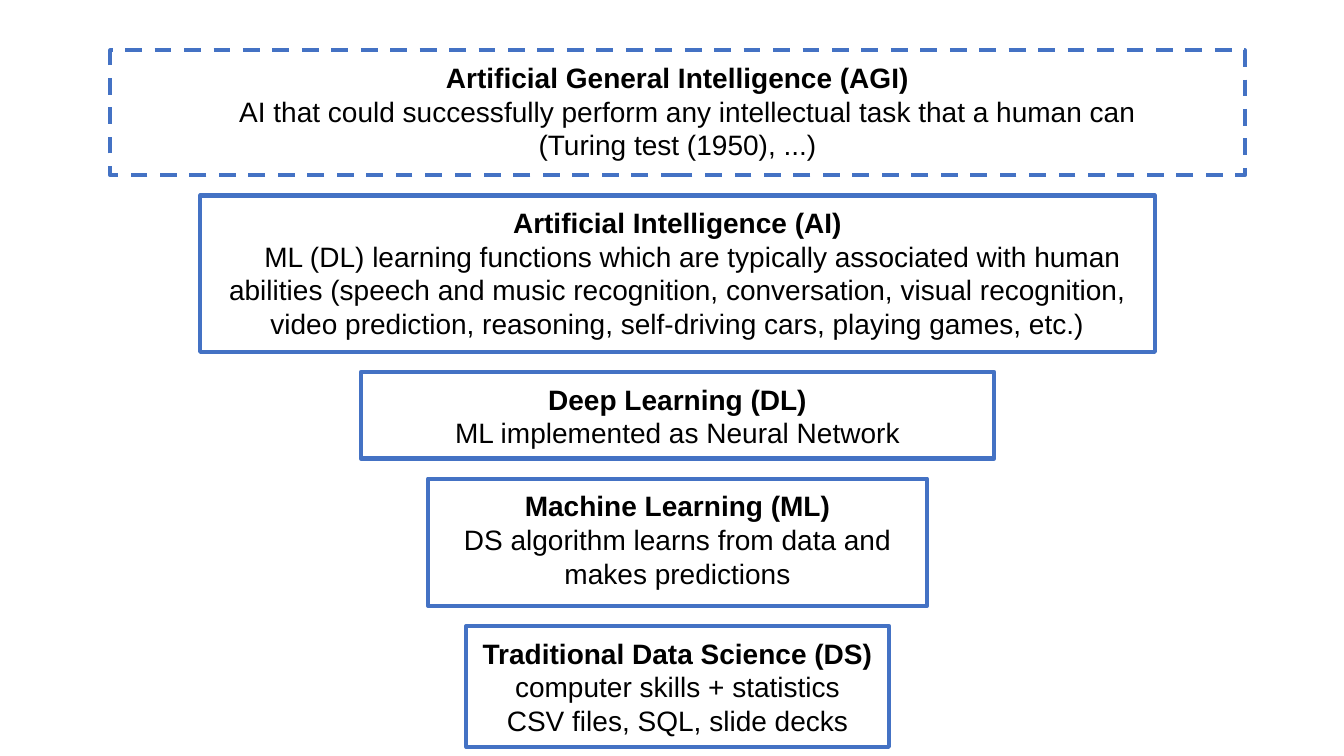
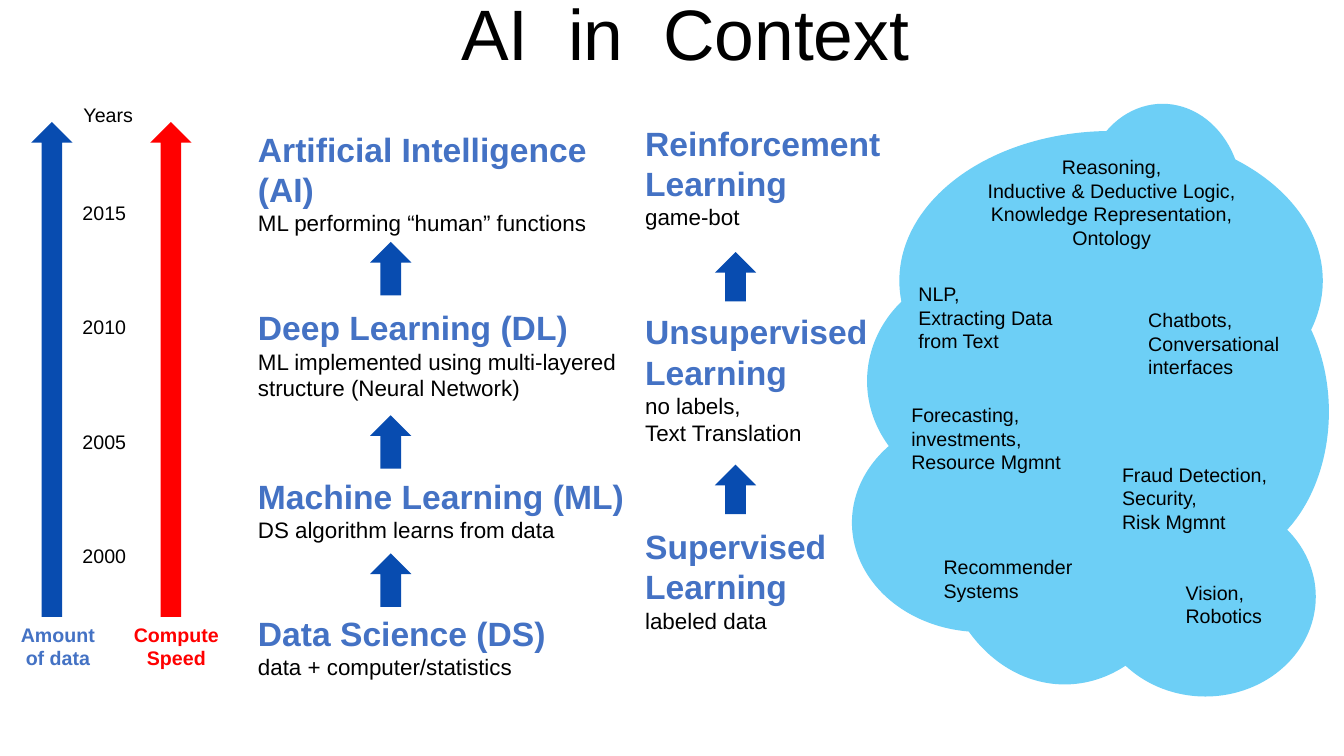
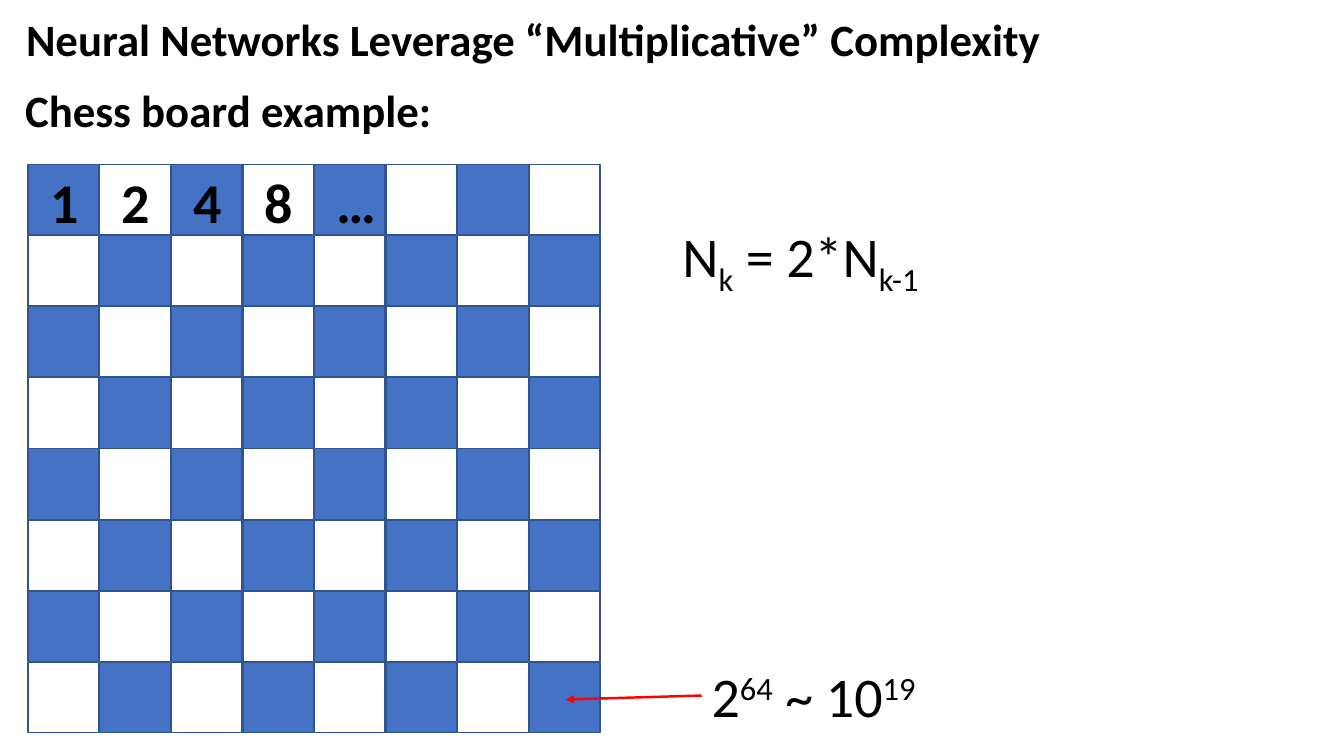
"""Build three slides on artificial intelligence."""
from dataclasses import dataclass

from lxml import etree
from pptx import Presentation
from pptx import util as u
from pptx.dml.color import RGBColor
from pptx.enum import dml, shapes, text
from pptx.oxml import ns


@dataclass(frozen=True)
class Theme:
    """Colours, fonts and type sizes of the deck."""
    ink: str = "000000"
    blue: str = "4472C4"
    edge: str = "31538F"
    deep: str = "084CB0"
    red: str = "FF0000"
    sky: str = "6DCFF6"
    sans: str = "Arial"
    alt: str = "Calibri"
    title: int = 51
    math: int = 40
    head: int = 32
    stage: int = 24
    tier: int = 20
    body: int = 16
    note: int = 14


T = Theme()
KIND = shapes.MSO_SHAPE
MID = text.PP_ALIGN.CENTER
LEFT = text.PP_ALIGN.LEFT


def span(box):
    """Turn a box in inches into lengths."""
    return [u.Inches(v) for v in box]


def write(frame, lines, size=T.note, color=T.ink, font=T.sans, bold=False,
          align=LEFT, lead=None, low=False, pad=0.05):
    """Fill a frame with lines, each a string or a list of (text, changes)."""
    frame.word_wrap = True
    frame.vertical_anchor = text.MSO_ANCHOR.BOTTOM if low else text.MSO_ANCHOR.TOP
    frame.margin_left = frame.margin_right = u.Inches(0.1)
    frame.margin_top = frame.margin_bottom = u.Inches(pad)
    for i, line in enumerate(lines):
        para = frame.add_paragraph() if i else frame.paragraphs[0]
        para.alignment = align
        if lead:
            para.line_spacing = lead
        for words, diff in [(line, {})] if isinstance(line, str) else line:
            run = para.add_run()
            run.text = words
            run.font.name = font
            run.font.size = u.Pt(diff.get("size", size))
            run.font.bold = diff.get("bold", bold)
            run.font.color.rgb = RGBColor.from_string(diff.get("color", color))
            props = run.font._element
            if "base" in diff:
                props.set("baseline", str(diff["base"] * 1000))
            if "gap" in diff:
                props.set("spc", str(diff["gap"] * 100))
            if "dent" in diff:
                para._p.get_or_add_pPr().set("indent", str(u.Inches(diff["dent"])))


def label(slide, box, lines, **form):
    """Add a text box."""
    write(slide.shapes.add_textbox(*span(box)).text_frame, lines, **form)


def draw(slide, kind, box, fill=None, line=None, width=1):
    """Add a plain preset shape."""
    item = slide.shapes.add_shape(kind, *span(box))
    item.shadow.inherit = False
    if fill:
        item.fill.solid()
        item.fill.fore_color.rgb = RGBColor.from_string(fill)
    else:
        item.fill.background()
    if line:
        item.line.color.rgb = RGBColor.from_string(line)
        item.line.width = u.Pt(width)
    else:
        item.line.fill.background()
    return item


def rise(slide, box, color=T.deep):
    """Draw an upward block arrow."""
    draw(slide, KIND.UP_ARROW, box, fill=color)


def point(slide, start, end):
    """Draw a red line with an arrowhead at its end."""
    line = slide.shapes.add_connector(
        shapes.MSO_CONNECTOR.STRAIGHT, *span(start + end))
    line.line.color.rgb = RGBColor.from_string(T.red)
    line.line.width = u.Pt(1.75)
    etree.SubElement(line.line._get_or_add_ln(), ns.qn("a:tailEnd"), type="triangle")
    etree.SubElement(line._element.spPr, ns.qn("a:effectLst"))


def tiers(slide, mid, top, gap=0.2):
    """Stack centred boxes that narrow towards the bottom."""
    rows = [
        (11.25, 1.24, "Artificial General Intelligence (AGI)", [
            [("AI that could successfully perform any intellectual task that "
              "a human can", {"dent": 0.2})],
            "(Turing test (1950), ...)"]),
        (9.47, 1.55, "Artificial Intelligence (AI)", [
            [("ML (DL) learning functions which are typically associated with "
              "human abilities (speech and music recognition, conversation, "
              "visual recognition, video prediction, reasoning, self-driving "
              "cars, playing games, etc.)", {"dent": 0.3})]]),
        (6.28, 0.86, "Deep Learning (DL)", ["ML implemented as Neural Network"]),
        (4.95, 1.26, "Machine Learning (ML)", [
            "DS algorithm learns from data and makes predictions"]),
        (4.19, 1.2, "Traditional Data Science (DS)", [
            "computer skills + statistics", "CSV files, SQL, slide decks"]),
    ]
    for i, (wide, high, name, body) in enumerate(rows):
        item = draw(slide, KIND.RECTANGLE, (mid - wide / 2, top, wide, high),
                    line=T.blue, width=3)
        if i == 0:
            item.line.dash_style = dml.MSO_LINE.DASH
        write(item.text_frame, [[(name, {"bold": True})]] + body,
              size=T.tier, align=MID, pad=0.1)
        top += high + gap


def scale(slide, box):
    """Draw two growth arrows with a scale of years between them."""
    x, y, wide, high = box
    bars = [(0.31, 0, 1.15, T.deep, T.blue, ["Amount", "of data"]),
            (1.49, 1.03, 1.44, T.red, T.red, ["Compute", "Speed"])]
    for bar, left, room, fill, ink, name in bars:
        rise(slide, (x + bar, y, 0.41, high), fill)
        label(slide, (x + left, y + high + 0.01, room, 0.71), name,
              color=ink, bold=True, align=MID)
    label(slide, (x + 0.73, y - 0.24, 0.77, 0.4), ["Years"])
    for i, year in enumerate(range(2015, 1999, -5)):
        label(slide, (x + 0.72, y + 0.73 + i * 3.41 / 3, 0.77, 0.4), [str(year)])


def ladder(slide, box, steps, arrows, shift, tall):
    """Place stages down a column, joined by upward arrows."""
    x, y, wide, high = box
    for drop, names, body in steps:
        heads = [[(name, {"size": T.stage, "color": T.blue, "bold": True})]
                 for name in names]
        label(slide, (x, y + drop, wide, high), heads + body, size=T.body)
    for drop in arrows:
        rise(slide, (x + shift, y + drop, 0.41, tall))


def cloud(slide, x, y):
    """Draw a cloud of ellipses holding fields of use."""
    puffs = [(2.29, 0, 1.58, 1.86), (0.86, 2.77, 2.5, 2.99),
             (2.41, 3.9, 2.19, 1.98), (2.54, 1.56, 2.19, 2.99),
             (0, 3.07, 2.56, 2.17), (0.15, 1.61, 2.46, 2.28),
             (0.47, 0.27, 4.2, 2.97)]
    for left, top, wide, high in puffs:
        draw(slide, KIND.OVAL, (x + left, y + top, wide, high), fill=T.sky)
    notes = [
        (0.92, 0.46, 3.31, MID, ["Reasoning,", "Inductive & Deductive Logic,",
                                 "Knowledge Representation,", "Ontology"]),
        (0.56, 1.72, 1.79, LEFT, ["NLP,", "Extracting Data from Text"]),
        (2.84, 1.98, 1.73, LEFT, ["Chatbots,", "Conversational", "interfaces"]),
        (0.49, 2.92, 1.88, LEFT, ["Forecasting,", "investments,", "Resource Mgmnt"]),
        (2.58, 3.51, 1.98, LEFT, ["Fraud Detection, Security,", "Risk Mgmnt"]),
        (0.81, 4.43, 1.88, LEFT, ["Recommender", "Systems"]),
        (3.21, 4.68, 1.18, LEFT, ["Vision,", "Robotics"]),
    ]
    for left, top, wide, align, lines in notes:
        label(slide, (x + left, y + top, wide, 1), lines, align=align)


def context(slide):
    """Compose the slide that sets AI in context."""
    space = (" ", {"gap": 14})
    label(slide, (0.59, 0.07, 12.41, 0.7),
          [[("AI", {}), space, ("in", {}), space, ("Context", {})]],
          size=T.title, align=MID, lead=0.7, low=True)
    scale(slide, (0, 1.21, 2.47, 4.91))
    cloud(slide, 8.45, 1.03)
    ladder(slide, (2.46, 1.23, 3.92, 1), [
        (0, ["Artificial Intelligence (AI)"], ["ML performing “human” functions"]),
        (1.77, ["Deep Learning (DL)"], ["ML implemented using multi-layered",
                                        "structure (Neural Network)"]),
        (3.44, ["Machine Learning (ML)"], ["DS algorithm learns from data"]),
        (4.8, ["Data Science (DS)"], ["data + computer/statistics"]),
    ], (1.17, 2.89, 4.26), 1.21, 0.53)
    ladder(slide, (6.3, 1.17, 2.79, 1.2), [
        (0, ["Reinforcement", "Learning"], ["game-bot"]),
        (1.87, ["Unsupervised", "Learning"], ["no labels,", "Text Translation"]),
        (4, ["Supervised", "Learning"], ["labeled data"]),
    ], (1.33, 3.44), 0.79, 0.49)


def board(slide, box, side=0.7, count=8):
    """Draw a chess board whose first squares show doubling."""
    x, y, wide, high = box
    across, down = (wide - side) / (count - 1), (high - side) / (count - 1)
    for col in range(count):
        for row in range(count):
            draw(slide, KIND.RECTANGLE,
                 (x + col * across, y + row * down, side, side),
                 fill=None if (row + col) % 2 else T.blue, line=T.edge)
    for col, mark in enumerate("1248…"):
        label(slide, (x + 0.12 + col * across, y - 0.02, 0.53, 0.77), [mark],
              size=T.math, font=T.alt, bold=True)


def chess(slide):
    """Compose the slide on multiplicative growth."""
    heads = [(0.16, 0.07, 10.56, "Neural Networks Leverage “Multiplicative” Complexity"),
             (0.15, 0.77, 4.39, "Chess board example:")]
    for x, y, wide, words in heads:
        label(slide, (x, y, wide, 0.64), [words], size=T.head, font=T.alt, bold=True)
    board(slide, (0.28, 1.63, 5.67, 5.64))
    sub, sup = {"base": -25}, {"base": 30}
    sums = [((6.67, 2.15, 4.26, 0.77),
             [("N", {}), ("k", sub), (" = 2*N", {}), ("k-1", sub)]),
            ((6.96, 6.51, 2.68, 0.77),
             [("2", {}), ("64", sup), (" ~ 10", {}), ("19", sup)])]
    for box, runs in sums:
        label(slide, box, [runs], size=T.math, font=T.alt)
    point(slide, (6.96, 6.9), (5.61, 6.94))


def main():
    """Build and save the deck."""
    deck = Presentation()
    deck.slide_width, deck.slide_height = span((13.33, 7.5))
    first, second, third = [deck.slides.add_slide(deck.slide_layouts[6])
                            for _ in range(3)]
    tiers(first, 6.72, 0.5)
    context(second)
    chess(third)
    deck.save("out.pptx")


if __name__ == "__main__":
    main()
